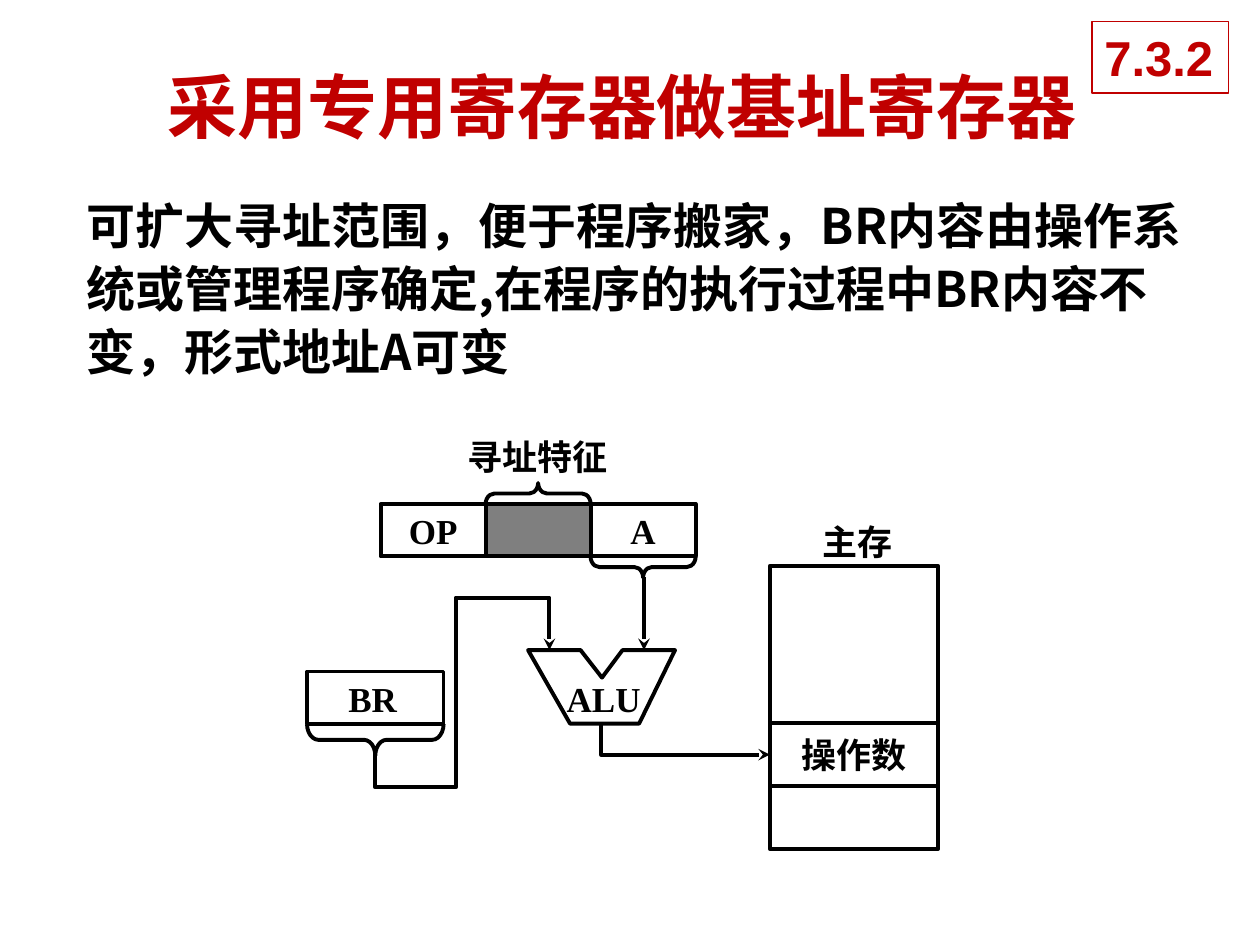
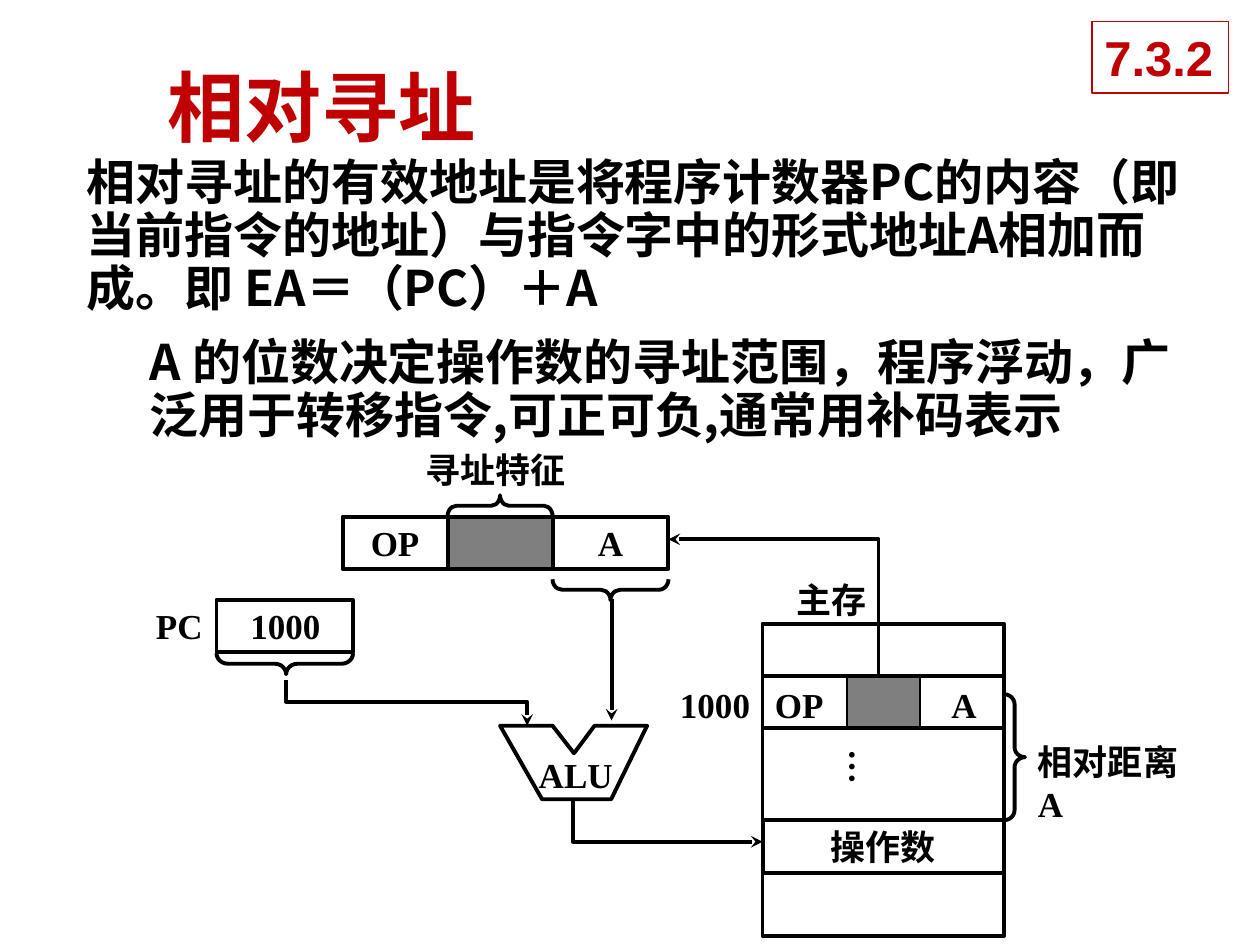
import pptx
import pptx.util
import pptx.dml.color
import pptx.enum.shapes
import pptx.enum.text
import pptx.oxml.ns
from lxml import etree

Pt = pptx.util.Pt
qn = pptx.oxml.ns.qn
SHAPE = pptx.enum.shapes.MSO_SHAPE
ALIGN = pptx.enum.text.PP_ALIGN
ANCHOR = pptx.enum.text.MSO_ANCHOR

COLORS = {"red": "C00000", "ink": "000000", "paper": "FFFFFF"}
HEADING_FONT, LABEL_FONT, BADGE_FONT = "Noto Sans CJK SC", "Times New Roman", "Arial"
LINE_WIDTH = 2.25
LABEL_HEIGHT = 31
CELL_HEIGHT = 30
ALU_OUTLINE = [(0, 0), (30, 0), (42.25, 15.75), (54, 0), (84, 0), (63.5, 42), (24, 42)]

# Content: rectangles are (left, top, width, height), labels (text, left, top, width),
# braces (left, top, width, depth, adjustments, rotation), paths lists of points
BASE_REGISTER = {
    "title": ("采用专用寄存器做基址寄存器", 40),
    "body": (105.75, 124.5, 36, [
        "可扩大寻址范围，便于程序搬家，BR内容由操作系统或管理程序确定,"
        "在程序的执行过程中BR内容不变，形式地址A可变"]),
    "instruction": (217.5, 288, [60, 60, 60]),
    "alu": (301.75, 371.5),
    "boxes": [(440, 323.25, 96, 90), (440, 449.25, 96, 36), (175.5, 383.75, 78, 30)],
    "operand": (440, 413.25, 96, 36),
    "operand_framed": True,
    "labels": [("主存", 463, 293.75, 55), ("寻址特征", 260, 245.5, 95), ("BR", 192, 383.75, 42.5)],
    "braces": [(277.5, 276, 60, 12, (0.416, 0.5), 90),
               (337.5, 318, 60, 12, (0.416, 0.5), 270),
               (175.5, 413.75, 78, 18, (0.36, 0.5), 270)],
    "arrow_paths": [
        [(214.5, 430), (214.5, 450), (260.5, 450), (260.5, 341.5), (314, 341.5), (314, 371.5)],
        [(343.5, 413.5), (343.5, 431.25), (440, 431.25)]],
    "address_arrow": (368, 330, 371.5),
}

RELATIVE = {
    "title": ("相对寻址", 44),
    "body": (86.5, 170, 30.25, [
        "相对寻址的有效地址是将程序计数器PC的内容（即当前指令的地址）"
        "与指令字中的形式地址A相加而成。即 EA＝（PC）＋A",
        "A 的位数决定操作数的寻址范围，程序浮动，广泛用于转移指令,可正可负,通常用补码表示"]),
    "instruction": (195.75, 295.25, [60, 60, 66.25]),
    "alu": (285.75, 414.75),
    "boxes": [(123.75, 342.75, 78, 30), (435.75, 356.5, 138, 112.25), (435.75, 498.75, 138, 36)],
    "operand": (435.75, 468.75, 138, 30),
    "operand_framed": False,
    "labels": [("寻址特征", 236, 252.75, 95), ("1000", 136, 342, 55), ("PC", 82, 342, 42.5),
               ("主存", 448, 327, 55), ("1000", 381.5, 387.25, 55),
               ("OP", 435.75, 387.25, 42.5), ("A", 536.5, 387.25, 29)],
    "braces": [(255.75, 283, 60, 12, (0.416, 0.5), 90),
               (315.75, 331, 66.25, 12, (0.458, 0.5), 270),
               (123.75, 373.25, 78, 12, (0.541, 0.51), 270)],
    "arrow_paths": [
        [(327.5, 457.25), (327.5, 481), (435.75, 481)],
        [(163.5, 388.75), (163.5, 401), (301.25, 401), (301.25, 414.75)],
        [(502, 386.5), (502, 308.25), (382, 308.25)]],
    "address_arrow": (349.5, 342, 411.75),
}
MEMORY_ROW_LINES = [386.5, 416.25]
MEMORY_SHADED_FIELD = (484, 386.5, 41.75, 30)


def rgb(name):
    return pptx.dml.color.RGBColor.from_string(COLORS[name])


def set_font(paragraph, size, name, color="ink"):
    font = paragraph.font
    font.size, font.bold = Pt(size), True
    font.color.rgb = rgb(color)
    font.name = name
    east_asian = name if name == HEADING_FONT else HEADING_FONT
    properties = paragraph._p.find(".//" + qn("a:defRPr"))
    etree.SubElement(properties, qn("a:ea"), typeface=east_asian)


def style_outline(shape, width=LINE_WIDTH, color="ink", arrow=False):
    shape.line.color.rgb = rgb(color)
    shape.line.width = Pt(width)
    if arrow:
        line = shape._element.spPr.find(qn("a:ln"))
        etree.SubElement(line, qn("a:tailEnd"), type="stealth")


def add_box(slide, bounds, kind=SHAPE.RECTANGLE, width=LINE_WIDTH, shaded=False):
    shape = slide.shapes.add_shape(kind, *map(Pt, bounds))
    shape.shadow.inherit = False
    style_outline(shape, width)
    if shaded:
        shape.fill.solid()
        shape.fill.fore_color.rgb = rgb("ink")
        color = shape._element.spPr.find(qn("a:solidFill"))[0]
        etree.SubElement(color, qn("a:alpha"), val="50000")
    else:
        shape.fill.background()
    return shape


def center_text(shape, text):
    frame = shape.text_frame
    frame.word_wrap = False
    frame.vertical_anchor = ANCHOR.MIDDLE
    paragraph = frame.paragraphs[0]
    paragraph.text = text
    paragraph.alignment = ALIGN.CENTER
    set_font(paragraph, 20, LABEL_FONT)


def add_label(slide, text, left, top, width, wrap=False, height=LABEL_HEIGHT):
    box = slide.shapes.add_textbox(*map(Pt, (left, top, width, height)))
    box.text_frame.word_wrap = wrap
    paragraph = box.text_frame.paragraphs[0]
    paragraph.text = text
    set_font(paragraph, 20, LABEL_FONT)
    return box


def add_brace(slide, left, top, width, depth, adjustments, rotation):
    """Turn a left brace so that it lies flat in the given area."""
    bounds = (left + (width - depth) / 2, top + (depth - width) / 2, depth, width)
    brace = add_box(slide, bounds, SHAPE.LEFT_BRACE)
    brace.rotation = rotation
    brace.adjustments[0], brace.adjustments[1] = adjustments


def add_path(slide, points, closed=False):
    points = [(Pt(x), Pt(y)) for x, y in points]
    builder = slide.shapes.build_freeform(*points[0])
    builder.add_line_segments(points[1:], close=closed)
    shape = builder.convert_to_shape()
    shape.shadow.inherit = False
    shape.fill.background()
    style_outline(shape, arrow=not closed)


def add_line(slide, start, end, arrow=False):
    line = slide.shapes.add_connector(
        pptx.enum.shapes.MSO_CONNECTOR.STRAIGHT, *map(Pt, start + end))
    style_outline(line, arrow=arrow)
    etree.SubElement(line._element.spPr, qn("a:effectLst"))


def add_title(slide, text, size):
    title = slide.shapes.title
    title.left, title.top, title.width, title.height = map(Pt, (88.5, 30.25, 606.25, 59.75))
    title.text_frame.vertical_anchor = ANCHOR.MIDDLE
    paragraph = title.text_frame.paragraphs[0]
    paragraph.text = text
    paragraph.alignment = ALIGN.LEFT
    set_font(paragraph, size, HEADING_FONT, "red")


def add_body(slide, top, height, line_spacing, texts):
    box = slide.shapes.add_textbox(Pt(42.5), Pt(top), Pt(641.5), Pt(height))
    box.fill.solid()
    box.fill.fore_color.rgb = rgb("paper")
    frame = box.text_frame
    frame.word_wrap = True
    for level, text in enumerate(texts):
        paragraph = frame.add_paragraph() if level else frame.paragraphs[0]
        paragraph.text = text
        paragraph.level = level
        paragraph.line_spacing = Pt(line_spacing)
        paragraph.space_before = Pt(6 if level else 0)
        paragraph.space_after = Pt(6)
        properties = paragraph._p.get_or_add_pPr()
        properties.set("marL", str(Pt(36 * level)))
        properties.set("indent", "0")
        set_font(paragraph, 28, HEADING_FONT)


def add_badge(slide):
    badge = add_box(slide, (624, 12.25, 78, 41))
    badge.fill.solid()
    badge.fill.fore_color.rgb = rgb("paper")
    style_outline(badge, 0.75, "red")
    badge.text_frame.word_wrap = False
    badge.text_frame.vertical_anchor = ANCHOR.TOP
    paragraph = badge.text_frame.paragraphs[0]
    paragraph.text = "7.3.2"
    paragraph.alignment = ALIGN.LEFT
    set_font(paragraph, 28, BADGE_FONT, "red")


def add_addressing_slide(presentation, content):
    slide = presentation.slides.add_slide(presentation.slide_layouts[5])
    add_title(slide, *content["title"])
    add_body(slide, *content["body"])

    # Instruction word with its shaded addressing field
    left, top, widths = content["instruction"]
    for text, width in zip(["OP", "", "A"], widths):
        cell = add_box(slide, (left, top, width, CELL_HEIGHT), shaded=not text)
        if text:
            center_text(cell, text)
        left += width

    # Register, memory and operand
    for bounds in content["boxes"]:
        add_box(slide, bounds)
    operand = add_box(slide, content["operand"])
    center_text(operand, "操作数")
    if not content["operand_framed"]:
        operand.line.fill.background()

    # Arithmetic unit
    alu_left, alu_top = content["alu"]
    add_path(slide, [(alu_left + x, alu_top + y) for x, y in ALU_OUTLINE], closed=True)
    add_label(slide, "ALU", alu_left + 15, alu_top + 12.25, 57)

    # Labels, braces and data paths
    for label in content["labels"]:
        add_label(slide, *label)
    for brace in content["braces"]:
        add_brace(slide, *brace)
    for points in content["arrow_paths"]:
        add_path(slide, points)
    x, start, end = content["address_arrow"]
    add_line(slide, (x, start), (x, end), arrow=True)
    add_badge(slide)
    return slide


def add_memory_details(slide):
    left, top, width, height = RELATIVE["operand"]
    right = left + width
    for y in MEMORY_ROW_LINES:
        add_line(slide, (left, y), (right, y))
    for x in (left, right):
        add_line(slide, (x, top), (x, top + height))
    add_box(slide, MEMORY_SHADED_FIELD, width=0.75, shaded=True)
    dots = add_label(slide, "…", 471, 421.25, 38, wrap=True, height=44)
    dots.text_frame._txBody.bodyPr.set("vert", "eaVert")

    # Distance between instruction and operand
    brace = add_box(slide, (right, 396.75, 12, 72), SHAPE.RIGHT_BRACE)
    brace.adjustments[0], brace.adjustments[1] = 0.48, 0.5
    add_label(slide, "相对距离 A", 586, 419.75, 108, wrap=True)


def main():
    presentation = pptx.Presentation()
    presentation.slide_width, presentation.slide_height = Pt(720), Pt(540)
    add_addressing_slide(presentation, BASE_REGISTER)
    add_memory_details(add_addressing_slide(presentation, RELATIVE))
    presentation.save("out.pptx")


if __name__ == "__main__":
    main()
